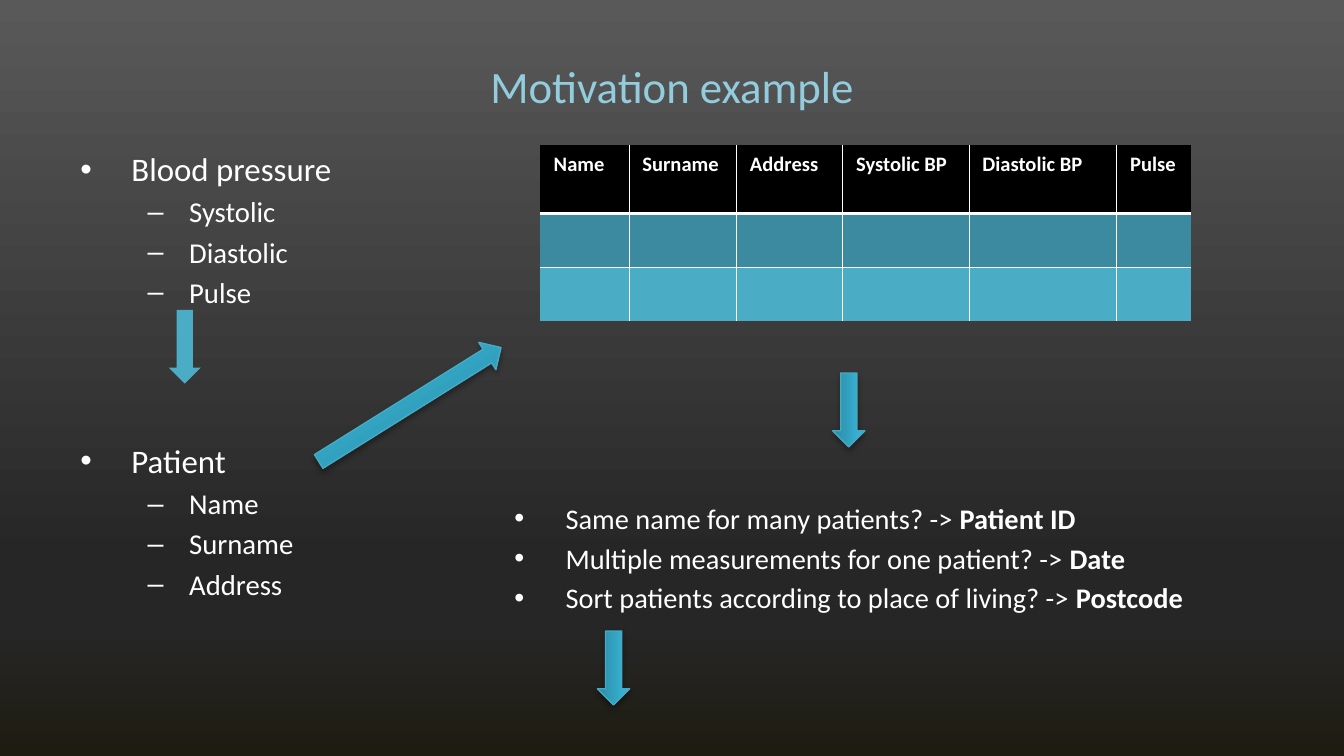
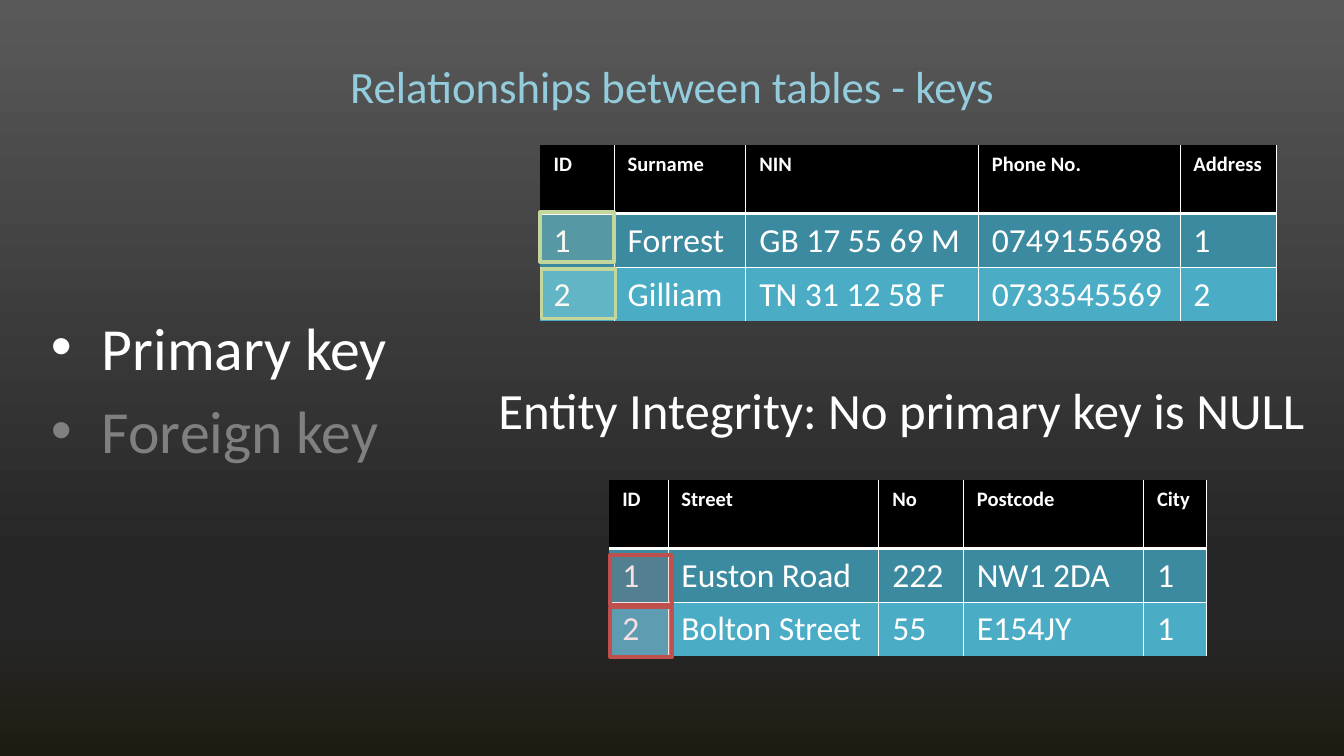
import pptx
import pptx.util
import pptx.dml.color
import pptx.enum.shapes
import pptx.enum.text
from lxml import etree
from pptx.oxml.ns import qn

Inches = pptx.util.Inches
Pt = pptx.util.Pt
SHAPE = pptx.enum.shapes.MSO_SHAPE
ALIGN = pptx.enum.text.PP_ALIGN
ANCHOR = pptx.enum.text.MSO_ANCHOR

COLORS = {
    "text": "FFFFFF", "muted": "808080", "title": "93CDDD",
    "header": "000000", "odd_row": "3C8A9F", "even_row": "4BACC6",
    "arrow_line": "46AAC5", "shadow": "000000",
    "green_fill": "D7E4BD", "green_line": "C3D69B", "red": "C0504D",
}
BACKGROUND = [(0, "595959"), (74, "262626"), (83, "262626"), (100, "1E1C11")]
ARROW_GRADIENT = [(0, "2A88A2"), (80, "37B1D2"), (100, "34B4D6")]
BULLETS = [("•", 0.38, -0.38), ("–", 0.81, -0.31)]  # character, margin, indent


def rgb(name):
    return pptx.dml.color.RGBColor.from_string(COLORS[name])


def add(parent, tag, **attrs):
    return etree.SubElement(parent, qn(tag), {k: str(v) for k, v in attrs.items()})


def paint_gradient(fill, owner, stops, angle):
    """Fill with (percent, hex) stops; angle is clockwise degrees."""
    fill.gradient()
    gs_list = next(owner.iter(qn("a:gsLst")))
    for gs in list(gs_list):
        gs_list.remove(gs)
    for percent, color in stops:
        add(add(gs_list, "a:gs", pos=percent * 1000), "a:srgbClr", val=color)
    fill.gradient_angle = 360 - angle


class Deck:
    font = "Calibri"

    def __init__(self):
        self.prs = pptx.Presentation()
        self.prs.slide_width = Inches(10)
        self.prs.slide_height = Inches(10 * 9 / 16)
        self.s = None

    def slide(self, title):
        self.s = self.prs.slides.add_slide(self.prs.slide_layouts[6])
        paint_gradient(self.s.background.fill, self.s.element, BACKGROUND, 90)
        tf = self.frame(0.5, 0.36, 9, 0.55)
        tf.vertical_anchor = ANCHOR.MIDDLE
        p = tf.paragraphs[0]
        p.text, p.alignment = title, ALIGN.CENTER
        self.style(p, 24, "title")

    def frame(self, *box):
        tf = self.s.shapes.add_textbox(*map(Inches, box)).text_frame
        tf.word_wrap = True
        return tf

    def style(self, p, size, color="text", bold=None):
        p.font.name, p.font.size, p.font.bold = self.font, Pt(size), bold
        p.font.color.rgb = rgb(color)

    def text(self, box, text, size):
        p = self.frame(*box).paragraphs[0]
        p.text, p.space_before = text, Pt(size * 0.2)
        self.style(p, size)

    def bullets(self, box, items):
        """Items are (level, size, color, text); **text** is bold."""
        tf = self.frame(*box)
        for i, (level, size, color, text) in enumerate(items):
            p = tf.add_paragraph() if i else tf.paragraphs[0]
            p.level, p.space_before = level, Pt(size * 0.2)
            char, margin, indent = BULLETS[level]
            pPr = p._p.get_or_add_pPr()
            pPr.set("marL", str(Inches(margin)))
            pPr.set("indent", str(Inches(indent)))
            add(pPr, "a:buFont", typeface="Arial")
            add(pPr, "a:buChar", char=char)
            self.style(p, size, color)
            for n, part in enumerate(text.split("**")):
                if part:
                    r = p.add_run()
                    r.text = part
                    if n % 2:
                        r.font.bold = True

    def topic(self, top, heading, details):
        self.bullets((0.5, top, 2.37, 1.11),
                     [(0, 17.6, "text", heading)] + [(1, 15.4, "text", d) for d in details])

    def borders(self, cell, **widths):
        """Widths in points by side; zero draws no line."""
        tcPr = cell._tc.get_or_add_tcPr()
        for side in "LRTB":
            width = widths[side]
            ln = add(tcPr, f"a:ln{side}", w=Pt(width))
            if width:
                add(add(ln, "a:solidFill"), "a:srgbClr", val=COLORS["text"])
            else:
                add(ln, "a:noFill")

    def table(self, left, top, widths, rows, right_edge=True):
        """Body rows grow from their set height to fit the text."""
        box = (left, top, sum(widths), 1.31)
        holder = self.s.shapes.add_table(len(rows), len(widths), *map(Inches, box))
        table = holder.table
        for column, width in zip(table.columns, widths):
            column.width = Inches(width)
        for row, height in zip(table.rows, [0.51, 0.3, 0.3]):
            row.height = Inches(height)
        holder.height = Inches(1.31)
        below = [2, 0.5, 0]
        fills = ["header", "odd_row", "even_row"]
        for i, row in enumerate(rows):
            for j, value in enumerate(row):
                cell = table.cell(i, j)
                last = j == len(widths) - 1
                self.borders(cell, L=0.5 if j else 0,
                             R=0.5 if right_edge or not last else 0,
                             T=below[i - 1] if i else 0, B=below[i])
                cell.fill.solid()
                cell.fill.fore_color.rgb = rgb(fills[i])
                p = cell.text_frame.paragraphs[0]
                if value:
                    p.text = value
                self.style(p, 18 if i else 11, bold=i == 0)

    def shape(self, kind, box):
        sp = self.s.shapes.add_shape(kind, *map(Inches, box))
        sp.shadow.inherit = False
        return sp

    def arrow(self, left, top, length=0.55, rotation=90, glossy=True):
        sp = self.shape(SHAPE.RIGHT_ARROW, (left, top, length, 0.24))
        sp.rotation = rotation
        if not glossy:
            sp.fill.solid()
            sp.fill.fore_color.rgb = rgb("even_row")
            sp.line.fill.background()
            return
        paint_gradient(sp.fill, sp.element, ARROW_GRADIENT, 270)
        sp.line.color.rgb, sp.line.width = rgb("arrow_line"), Pt(0.75)
        effects = next(sp.element.iter(qn("a:effectLst")))
        shadow = add(effects, "a:outerShdw", blurRad=Pt(3.1), dist=Pt(1.8),
                     dir=90 * 60000, rotWithShape=0)
        add(add(shadow, "a:srgbClr", val=COLORS["shadow"]), "a:alpha", val=35000)

    def key_marker(self, left, top, width, fill, line):
        sp = self.shape(SHAPE.RECTANGLE, (left, top, width, 0.37))
        sp.fill.solid()
        sp.fill.fore_color.rgb = rgb(fill)
        add(next(sp.element.spPr.iter(qn("a:srgbClr"))), "a:alpha", val=17000)
        sp.line.color.rgb, sp.line.width = rgb(line), Pt(2)


def motivation(deck):
    deck.slide("Motivation example")
    deck.topic(1.06, "Blood pressure", ["Systolic", "Diastolic", "Pulse"])
    deck.topic(3.23, "Patient", ["Name", "Surname", "Address"])
    header = ["Name", "Surname", "Address", "Systolic BP", "Diastolic BP", "Pulse"]
    empty = [""] * len(header)
    deck.table(4.02, 1.08, [0.66, 0.8, 0.79, 0.94, 1.1, 0.55],
               [header, empty, empty], right_edge=False)
    questions = [
        "Same name for many patients? -> **Patient ID**",
        "Multiple measurements for one patient? -> **Date**",
        "Sort patients according to place of living? -> **Postcode**",
    ]
    deck.bullets((3.73, 3.68, 6.24, 0.87), [(0, 15.2, "text", q) for q in questions])
    deck.arrow(1.1, 2.46, glossy=False)
    deck.arrow(2.25, 2.89, length=1.6, rotation=328)
    deck.arrow(6.04, 2.93)
    deck.arrow(4.29, 4.85)


def keys(deck):
    deck.slide("Relationships between tables - keys")
    deck.bullets((0.28, 2.26, 3.54, 2.05), [(0, 32, "text", "Primary key"),
                                            (0, 32, "muted", "Foreign key")])
    deck.table(4.02, 1.08, [0.55, 0.98, 1.73, 1.5, 0.72], [
        ["ID", "Surname", "NIN", "Phone No.", "Address"],
        ["1", "Forrest", "GB 17 55 69 M", "0749155698", "1"],
        ["2", "Gilliam", "TN 31 12 58 F", "0733545569", "2"],
    ])
    deck.table(4.53, 3.57, [0.44, 1.57, 0.63, 1.34, 0.47], [
        ["ID", "Street", "No", "Postcode", "City"],
        ["1", "Euston Road", "222", "NW1 2DA", "1"],
        ["2", "Bolton Street", "55", "E154JY", "1"],
    ])
    for left, top in [(4.02, 1.58), (4.03, 2)]:
        deck.key_marker(left, top, 0.55, "green_fill", "green_line")
    for top in (4.13, 4.52):
        deck.key_marker(4.54, top, 0.46, "red", "red")
    deck.text((3.61, 2.77, 6.3, 0.67), "Entity Integrity: No primary key is NULL", 27.2)


def main():
    deck = Deck()
    motivation(deck)
    keys(deck)
    deck.prs.save("out.pptx")


if __name__ == "__main__":
    main()
